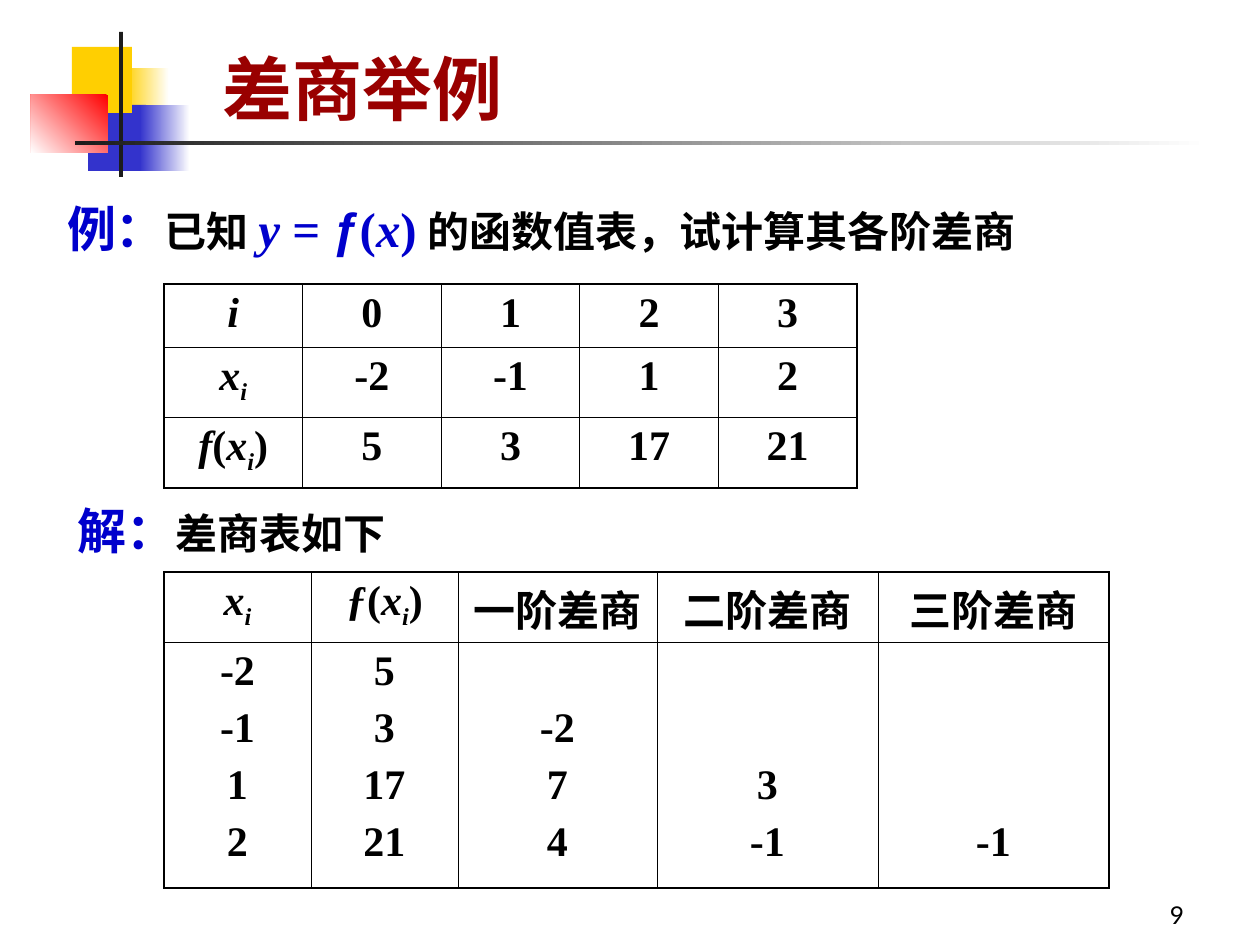
import collections

import lxml.etree
import pptx
import pptx.dml.color
import pptx.enum.shapes
import pptx.enum.text
import pptx.oxml.ns
import pptx.util

PX = 914400 / 126
SERIF, SANS, NUMBER = "Times New Roman", "Arial", "Lato"
BLACK = pptx.dml.color.RGBColor(0x00, 0x00, 0x00)
WHITE = pptx.dml.color.RGBColor(0xFF, 0xFF, 0xFF)
CHARCOAL = pptx.dml.color.RGBColor(0x1C, 0x1C, 0x1C)
YELLOW = pptx.dml.color.RGBColor(0xFF, 0xCF, 0x01)
INDIGO = pptx.dml.color.RGBColor(0x33, 0x33, 0xCC)
RED = pptx.dml.color.RGBColor(0xFF, 0x00, 0x00)
MAROON = pptx.dml.color.RGBColor(0x99, 0x00, 0x00)
BLUE = pptx.dml.color.RGBColor(0x00, 0x00, 0xCC)
OUTER, INNER = 1.08, 0.45
INSET_X, INSET_Y, TERM_STEP = 13, 6, 57
ALIGN = pptx.enum.text.PP_ALIGN
ANCHOR = pptx.enum.text.MSO_ANCHOR

Part = collections.namedtuple(
    "Part", "text size color italic sub font bold",
    defaults=(24, BLACK, False, False, SERIF, True))
X_I = [Part("x", italic=True), Part("i", italic=True, sub=True)]


def value_at_x_i(letter):
    """Return the runs of a function value at x_i."""
    return [Part(letter, italic=True), Part("("), *X_I, Part(")")]


def emu(*lengths):
    """Turn px lengths into EMU."""
    return [pptx.util.Emu(round(length * PX)) for length in lengths]


def write_runs(paragraph, parts):
    """Add each part to the paragraph as one run."""
    for part in parts:
        run = paragraph.add_run()
        run.text = part.text
        run.font.name = part.font
        run.font.size = pptx.util.Pt(part.size)
        run.font.bold = part.bold
        run.font.italic = part.italic
        run.font.color.rgb = part.color
        if part.sub:
            run.font._element.set("baseline", "-25000")


def set_margins(holder, top=INSET_Y):
    """Give a text frame or a cell its insets."""
    holder.margin_left, holder.margin_right = emu(INSET_X, INSET_X)
    holder.margin_top, holder.margin_bottom = emu(top, INSET_Y)


def add_line_of_text(slide, box, parts, anchor=ANCHOR.TOP, align=ALIGN.LEFT,
                     spacing=1.0):
    """Place one paragraph of runs in the box."""
    frame = slide.shapes.add_textbox(*emu(*box)).text_frame
    frame.word_wrap = True
    frame.vertical_anchor = anchor
    set_margins(frame)
    paragraph = frame.paragraphs[0]
    paragraph.alignment = align
    paragraph.line_spacing = spacing
    write_runs(paragraph, parts)


def add_block(slide, box, colors, angle):
    """Place a plain or two-colour gradient rectangle."""
    block = slide.shapes.add_shape(
        pptx.enum.shapes.MSO_SHAPE.RECTANGLE, *emu(*box))
    block.shadow.inherit = False
    block.line.fill.background()
    if len(colors) == 1:
        block.fill.solid()
        block.fill.fore_color.rgb = colors[0]
        return
    block.fill.gradient()
    block.fill.gradient_angle = angle
    for stop, color in zip(block.fill.gradient_stops, colors):
        stop.color.rgb = color


def add_ornament(slide, box):
    """Place the coloured squares and the two bars of the heading."""
    left, top, width, height = box
    blocks = [
        ((93, 36, 45, 66), [WHITE, YELLOW], 180),
        ((57, 73, 58, 66), [INDIGO], 0),
        ((41, 15, 60, 66), [YELLOW], 0),
        ((109, 73, 50, 66), [WHITE, INDIGO], 180),
        ((0, 63, 77, 58), [RED, WHITE], 225),
        ((88, 0, 4, height), [CHARCOAL], 0),
        ((44, 109, width - 44, 4), [WHITE, CHARCOAL], 180),
    ]
    for (x, y, w, h), colors, angle in blocks:
        add_block(slide, (left + x, top + y, w, h), colors, angle)


def draw_borders(cell, widths):
    """Draw the left, right, top and bottom borders of a cell."""
    properties = cell._tc.get_or_add_tcPr()
    qn = pptx.oxml.ns.qn
    for side, width in zip("LRTB", widths):
        line = lxml.etree.SubElement(
            properties, qn(f"a:ln{side}"), w=str(pptx.util.Pt(width)))
        fill = lxml.etree.SubElement(line, qn("a:solidFill"))
        lxml.etree.SubElement(fill, qn("a:srgbClr"), val=str(BLACK))


def fill_cell(cell, terms, skipped):
    """Write the terms one below another, after the skipped levels."""
    cell.fill.background()
    set_margins(cell, INSET_Y + skipped * TERM_STEP)
    for index, parts in enumerate(terms):
        frame = cell.text_frame
        paragraph = frame.add_paragraph() if index else frame.paragraphs[0]
        paragraph.alignment = ALIGN.CENTER
        if index:
            paragraph.space_before = pptx.util.Pt(6)
        write_runs(paragraph, parts)


def add_value_table(slide, box, heights, rows, widths=()):
    """Place a ruled table whose cells are (terms, skipped levels)."""
    last_row, last_column = len(rows) - 1, len(rows[0]) - 1
    table = slide.shapes.add_table(
        len(rows), len(rows[0]), *emu(*box)).table
    table.first_row = table.horz_banding = False
    for column, width in zip(table.columns, emu(*widths)):
        column.width = width
    for row, height in zip(table.rows, emu(*heights)):
        row.height = height
    for r, row in enumerate(rows):
        for c, (terms, skipped) in enumerate(row):
            on_edge = (c == 0, c == last_column, r == 0, r == last_row)
            cell = table.cell(r, c)
            draw_borders(cell, [OUTER if edge else INNER for edge in on_edge])
            fill_cell(cell, terms, skipped)


def add_given_values(slide, box):
    """Place the table of known function values."""
    rows = [
        ([Part("i", italic=True)], "0 1 2 3"),
        (X_I, "-2 -1 1 2"),
        (value_at_x_i("f"), "5 3 17 21"),
    ]
    cells = [[([label], 0)] + [([[Part(v)]], 0) for v in values.split()]
             for label, values in rows]
    add_value_table(slide, box, (63, 70, 71), cells)


def add_differences(slide, box):
    """Place the table of divided differences, each order one level lower."""
    columns = [
        (X_I, "-2 -1 1 2"),
        (value_at_x_i("ƒ"), "5 3 17 21"),
        ([Part("一阶差商")], "-2 7 4"),
        ([Part("二阶差商")], "3 -1"),
        ([Part("三阶差商")], "-1"),
    ]
    heads = [([label], 0) for label, _ in columns]
    values = [column.split() for _, column in columns]
    body = [([[Part(v)] for v in column], 4 - len(column))
            for column in values]
    add_value_table(slide, box, (70, 246), [heads, body],
                    (147, 147, 199, 221, 231))


def build_slide(slide):
    """Place all regions of the slide."""
    add_ornament(slide, (31, 32, 1178, 145))
    add_line_of_text(slide, (210, 39, 746, 97),
                     [Part("差商举例", 40, MAROON)], ANCHOR.BOTTOM)
    add_line_of_text(slide, (54, 175, 1155, 89), [
        Part("例：", 28, BLUE), Part("已知 "), Part("y ", 28, BLUE, True),
        Part("= ", 28, BLUE), Part("ƒ", 28, BLUE, font=SANS),
        Part("(", 28, BLUE), Part("x", 28, BLUE, True), Part(")", 28, BLUE),
        Part(" 的函数值表，试计算其各阶差商")], spacing=1.3)
    add_given_values(slide, (164, 284, 693, 204))
    add_line_of_text(slide, (65, 483, 350, 83),
                     [Part("解：", 28, BLUE), Part("差商表如下")],
                     spacing=1.2)
    add_differences(slide, (164, 572, 945, 316))
    add_line_of_text(slide, (935, 872, 262, 63),
                     [Part("9", 14, font=NUMBER, bold=False)],
                     ANCHOR.BOTTOM, ALIGN.RIGHT)


def main():
    """Build and save the presentation."""
    presentation = pptx.Presentation()
    presentation.slide_width, presentation.slide_height = emu(1260, 945)
    build_slide(presentation.slides.add_slide(presentation.slide_layouts[6]))
    presentation.save("out.pptx")


if __name__ == "__main__":
    main()
